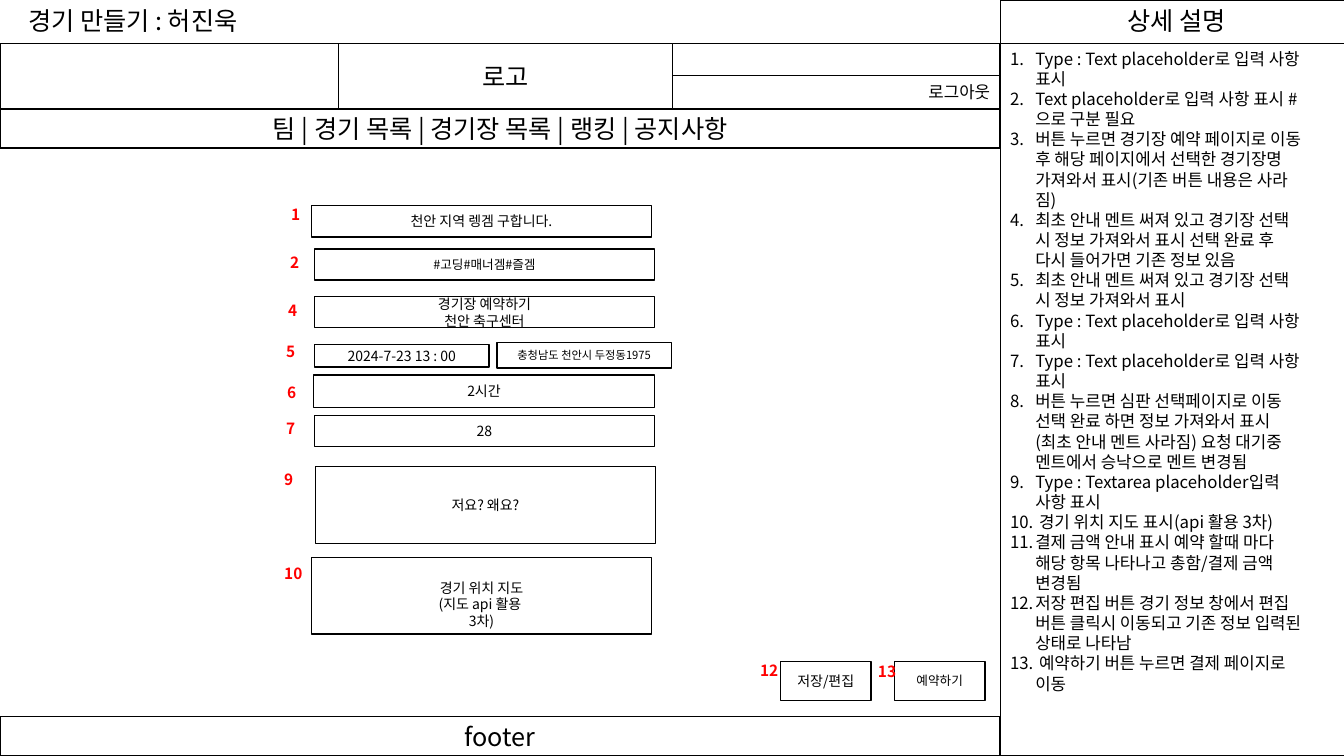
from dataclasses import dataclass
from typing import Optional

import pptx
import pptx.dml.color
import pptx.enum.shapes
import pptx.enum.text
import pptx.oxml
import pptx.oxml.ns
import pptx.util
from lxml import etree

EMU_PER_PX = 9144
Align = pptx.enum.text.PP_ALIGN


@dataclass(frozen=True)
class Theme:
    font: str = "Noto Sans CJK KR"
    ink: str = "000000"
    paper: str = "FFFFFF"
    accent: str = "FF0000"
    heading: int = 18
    body: int = 12
    mark: int = 11
    field: int = 10
    small: int = 9
    tiny: int = 8


THEME = Theme()


@dataclass(frozen=True)
class Frame:
    left: int
    top: int
    width: int
    height: int
    text: str = ""
    size: int = THEME.field
    align: Optional[Align] = Align.CENTER
    inset_top: int = 5


@dataclass(frozen=True)
class Label:
    left: int
    top: int
    width: int
    height: int
    text: str
    size: int = THEME.heading
    wrap: bool = True
    numbered: bool = False
    color: str = THEME.ink
    bold: bool = False


@dataclass(frozen=True)
class Mark:
    number: int
    left: int
    top: int
    width: int = 38


FRAMES = [
    Frame(992, 43, 342, 707),
    Frame(992, 0, 342, 43),
    Frame(0, 43, 992, 104),
    Frame(336, 43, 331, 65, "로고", THEME.heading),
    Frame(0, 108, 992, 39, "팀 | 경기 목록 | 경기장 목록 | 랭킹 | 공지사항", THEME.heading),
    Frame(667, 75, 325, 33, "로그아웃", THEME.body, Align.RIGHT),
    Frame(0, 711, 992, 39, "footer", THEME.heading),
    Frame(309, 204, 337, 31, "천안 지역 렝겜 구합니다."),
    Frame(312, 247, 337, 31, "#고딩#매너겜#즐겜", THEME.small),
    Frame(312, 294, 337, 31, "경기장 예약하기\v천안 축구센터"),
    Frame(312, 342, 173, 22, "2024-7-23 13 : 00"),
    Frame(493, 340, 173, 25, "충청남도 천안시 두정동1975", THEME.tiny),
    Frame(311, 372, 338, 32, "2시간"),
    Frame(312, 412, 337, 31, "28"),
    Frame(313, 463, 337, 76, "저요? 왜요?"),
    Frame(309, 553, 337, 76, "경기 위치 지도\n(지도 api 활용 \n3차)", inset_top=22),
    Frame(774, 656, 90, 39, "저장/편집"),
    Frame(887, 656, 90, 39, "예약하기", THEME.small),
]

NOTES = [
    "Type : Text placeholder로 입력 사항 표시",
    "Text placeholder로 입력 사항 표시 #으로 구분 필요",
    "버튼 누르면 경기장 예약 페이지로 이동 후 해당 페이지에서 선택한 경기장명 가져와서 표시(기존 버튼 내용은 사라짐)",
    "최초 안내 멘트 써져 있고 경기장 선택 시 정보 가져와서 표시 선택 완료 후 다시 들어가면 기존 정보 있음",
    "최초 안내 멘트 써져 있고 경기장 선택 시 정보 가져와서 표시",
    "Type : Text placeholder로 입력 사항 표시",
    "Type : Text placeholder로 입력 사항 표시",
    "버튼 누르면 심판 선택페이지로 이동 선택 완료 하면 정보 가져와서 표시(최초 안내 멘트 사라짐) 요청 대기중 멘트에서 승낙으로 멘트 변경됨",
    "Type : Textarea placeholder입력 사항 표시",
    " 경기 위치 지도 표시(api 활용 3차)",
    "결제 금액 안내 표시 예약 할때 마다 해당 항목 나타나고 총함/결제 금액 변경됨",
    "저장 편집 버튼 경기 정보 창에서 편집 버튼 클릭시 이동되고 기존 정보 입력된 상태로 나타남",
    " 예약하기 버튼 누르면 결제 페이지로 이동",
]

LABELS = [
    Label(18, 0, 262, 40, "경기 만들기 : 허진욱"),
    Label(1108, 0, 130, 40, "상세 설명", wrap=False),
    Label(992, 43, 313, 707, "\n".join(NOTES), THEME.body, numbered=True),
]

MARKS = [
    Mark(1, 279, 199),
    Mark(2, 278, 246),
    Mark(4, 276, 294),
    Mark(5, 274, 334),
    Mark(6, 275, 375),
    Mark(7, 274, 411),
    Mark(9, 272, 461),
    Mark(10, 272, 555, 55),
    Mark(12, 744, 651, 40),
    Mark(13, 861, 652, 50),
]


def px(length: int) -> pptx.util.Emu:
    return pptx.util.Emu(length * EMU_PER_PX)


def rgb(color: str) -> pptx.dml.color.RGBColor:
    return pptx.dml.color.RGBColor.from_string(color)


def style_text(text_frame, size: int, color: str = THEME.ink, bold: bool = False,
               align: Optional[Align] = None) -> None:
    for para in text_frame.paragraphs:
        para.alignment = align
        for span in para.runs:
            span.font.size = pptx.util.Pt(size)
            span.font.bold = bold
            span.font.color.rgb = rgb(color)
            span.font.name = THEME.font
            east_asian = etree.SubElement(span.font._element, pptx.oxml.ns.qn("a:ea"))
            east_asian.set("typeface", THEME.font)


def number_paragraphs(text_frame) -> None:
    for para in text_frame.paragraphs:
        properties = para._p.get_or_add_pPr()
        properties.set("marL", str(px(25)))
        properties.set("indent", str(px(-25)))
        numbering = etree.SubElement(properties, pptx.oxml.ns.qn("a:buAutoNum"))
        numbering.set("type", "arabicPeriod")


def draw_frame(page, frame: Frame) -> None:
    box = page.shapes.add_shape(
        pptx.enum.shapes.MSO_SHAPE.RECTANGLE,
        px(frame.left), px(frame.top), px(frame.width), px(frame.height))
    box.shadow.inherit = False
    box.fill.solid()
    box.fill.fore_color.rgb = rgb(THEME.paper)
    box.line.color.rgb = rgb(THEME.ink)
    box.line.width = pptx.util.Pt(1)
    if frame.text:
        box.text_frame.text = frame.text
        box.text_frame.vertical_anchor = pptx.enum.text.MSO_ANCHOR.MIDDLE
        box.text_frame.margin_top = px(frame.inset_top)
        style_text(box.text_frame, frame.size, align=frame.align)


def draw_label(page, label: Label) -> None:
    box = page.shapes.add_textbox(
        px(label.left), px(label.top), px(label.width), px(label.height))
    box.text_frame.word_wrap = label.wrap
    box.text_frame.auto_size = pptx.enum.text.MSO_AUTO_SIZE.SHAPE_TO_FIT_TEXT
    box.text_frame.text = label.text
    if label.numbered:
        number_paragraphs(box.text_frame)
    style_text(box.text_frame, label.size, label.color, label.bold)


def draw_mark(page, mark: Mark) -> None:
    draw_label(page, Label(mark.left, mark.top, mark.width, 29, str(mark.number),
                           THEME.mark, color=THEME.accent, bold=True))


def main() -> None:
    deck = pptx.Presentation()
    deck.slide_width, deck.slide_height = px(1333), px(750)
    page = deck.slides.add_slide(deck.slide_layouts[6])
    for frame in FRAMES:
        draw_frame(page, frame)
    for label in LABELS:
        draw_label(page, label)
    for mark in MARKS:
        draw_mark(page, mark)
    deck.save("out.pptx")


if __name__ == "__main__":
    main()
